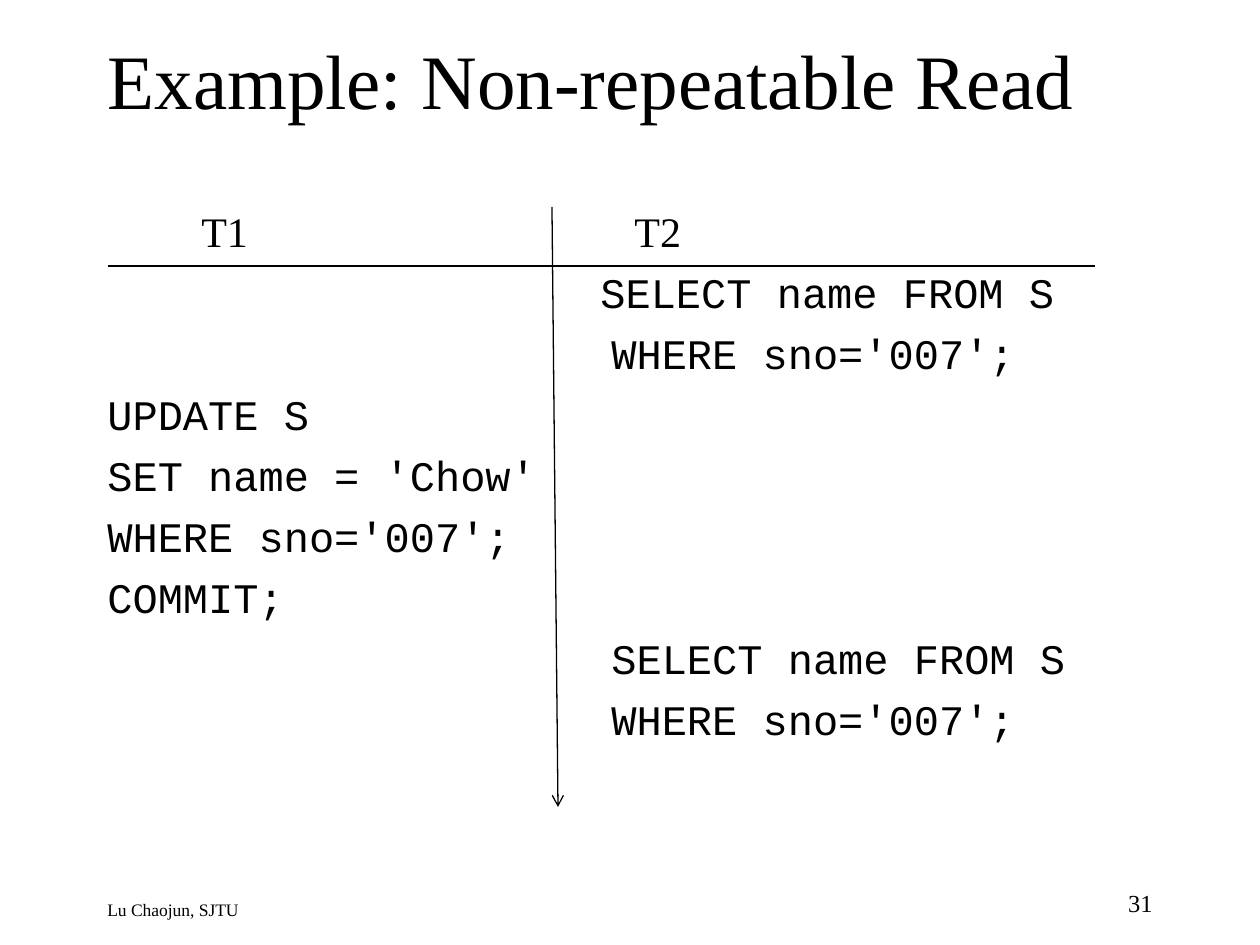
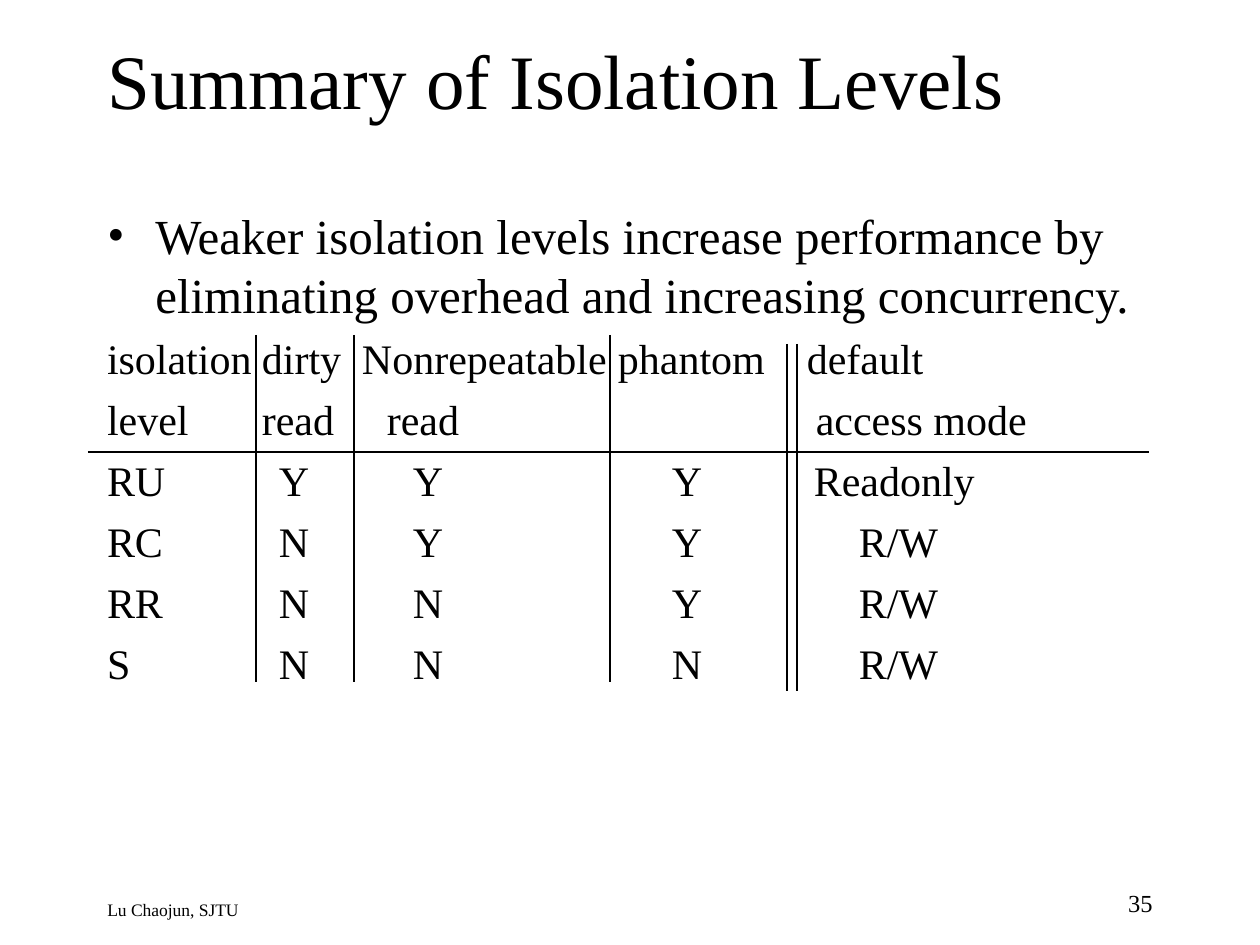
from pptx import Presentation
from pptx import util as u
from pptx.dml.color import RGBColor
from pptx.enum import shapes, text
from pptx.oxml.ns import qn
from lxml import etree

PX = 914400 / 126  # EMU in one px
BLACK = RGBColor(0x00, 0x00, 0x00)
WHITE = RGBColor(0xFF, 0xFF, 0xFF)
SERIF, MONO = "Times New Roman", "Courier New"
LINE_FACTOR = 1.2
HANGING = 48
ROW_HEIGHT = 61

TITLE_AREA = (95, 0, 1071, 158)
BODY_AREA = (95, 199, 1071, 640)
SECOND_HEAD_AREA = (622, 199, 120, 62)
FOOTER_AREA = (95, 893, 731, 32)
NUMBER_AREA = (903, 882, 262, 42)


def px(length):
    return u.Emu(round(length * PX))


def set_all(target, values):
    for name, value in values.items():
        setattr(target, name, value)


class Deck:
    """Shared style and the current slide."""

    def __init__(self):
        self.prs = Presentation()
        set_all(self.prs, {"slide_width": px(1260), "slide_height": px(945)})
        self.slide = None

    def font(self, target, size, face=SERIF):
        set_all(target.font, {"size": u.Pt(size), "name": face, "bold": False})
        target.font.color.rgb = BLACK

    def new_slide(self, title, number):
        self.slide = self.prs.slides.add_slide(self.prs.slide_layouts[5])
        fill = self.slide.background.fill
        fill.solid()
        fill.fore_color.rgb = WHITE
        self.footer("Lu Chaojun, SJTU", FOOTER_AREA, 10, text.PP_ALIGN.LEFT)
        self.footer(number, NUMBER_AREA, 14, text.PP_ALIGN.RIGHT)
        self.title(title)

    def title(self, words):
        heading = self.slide.shapes.title
        set_all(heading, dict(zip(("left", "top", "width", "height"), map(px, TITLE_AREA))))
        frame = heading.text_frame
        frame.text = words
        set_all(frame, {"vertical_anchor": text.MSO_ANCHOR.MIDDLE, "word_wrap": True,
                        "auto_size": text.MSO_AUTO_SIZE.NONE})
        frame.paragraphs[0].alignment = text.PP_ALIGN.LEFT
        self.font(frame.paragraphs[0], 44)

    def text_area(self, area):
        frame = self.slide.shapes.add_textbox(*map(px, area)).text_frame
        frame.word_wrap = True
        return frame

    def footer(self, words, area, size, align):
        line = self.text_area(area).paragraphs[0]
        line.text = words
        line.alignment = align
        self.font(line, size)

    def body(self, area=BODY_AREA):
        frame = self.text_area(area)
        frame.margin_top = px(7)
        return frame

    def line(self, frame, words, size=24, face=SERIF, left=0, bullet=None):
        """Add one paragraph; the left margin is in px."""
        first = not frame.paragraphs[0].runs
        line = frame.paragraphs[0] if first else frame.add_paragraph()
        line.text = words
        set_all(line, {"space_before": u.Pt(0 if first else 6),
                       "line_spacing": u.Pt(size * LINE_FACTOR)})
        props = line._p.get_or_add_pPr()
        props.set("marL", str(px(HANGING if bullet else left)))
        props.set("indent", str(px(-HANGING if bullet else 0)))
        if bullet:
            etree.SubElement(props, qn("a:buFont"), typeface=SERIF)
            etree.SubElement(props, qn("a:buChar"), char=bullet)
        else:
            etree.SubElement(props, qn("a:buNone"))
        self.font(line, size, face)

    def table(self, left, top, widths, rows):
        """Add a plain table; each row is its words and their left insets in px."""
        table = self.slide.shapes.add_table(
            len(rows), len(widths),
            *map(px, (left, top, sum(widths), ROW_HEIGHT * len(rows)))).table
        set_all(table, {"first_row": False, "horz_banding": False})
        for column, width in zip(table.columns, widths):
            column.width = px(width)
        for row, (words, insets) in zip(table.rows, rows):
            row.height = px(ROW_HEIGHT)
            for cell, word, inset in zip(row.cells, words, insets):
                set_all(cell, {"margin_left": px(inset), "margin_right": 0,
                               "margin_top": 0, "margin_bottom": 0,
                               "vertical_anchor": text.MSO_ANCHOR.MIDDLE})
                cell.fill.background()
                self.line(cell.text_frame, word)

    def rule(self, x1, y1, x2, y2, arrow=False):
        rule = self.slide.shapes.add_connector(
            shapes.MSO_CONNECTOR.STRAIGHT, *map(px, (x1, y1, x2, y2)))
        rule.line.color.rgb = BLACK
        rule.line.width = u.Pt(0.75)
        if arrow:
            etree.SubElement(rule.line._get_or_add_ln(), qn("a:tailEnd"), type="arrow")
        etree.SubElement(rule._element.spPr, qn("a:effectLst"))


def non_repeatable_read(deck):
    deck.new_slide("Example: Non-repeatable Read", "31")

    # Schedule of both transactions, in time order
    schedule = deck.body()
    deck.line(schedule, "T1", left=94)
    deck.line(deck.body(SECOND_HEAD_AREA), "T2")
    steps = [
        ("SELECT name FROM S", 493), ("WHERE sno='007';", 504),
        ("UPDATE S", 0), ("SET name = 'Chow'", 0), ("WHERE sno='007';", 0), ("COMMIT;", 0),
        ("SELECT name FROM S", 504), ("WHERE sno='007';", 504),
    ]
    for code, left in steps:
        deck.line(schedule, code, face=MONO, left=left)

    # Header rule and time axis
    deck.rule(108, 266, 1095, 266)
    deck.rule(552, 207, 558, 807, arrow=True)


def isolation_summary(deck):
    deck.new_slide("Summary of Isolation Levels", "35")

    deck.line(deck.body(), "Weaker isolation levels increase performance by "
              "eliminating overhead and increasing concurrency.", size=28, bullet="•")

    # Column headings, then the anomalies allowed at each level
    read_write = (0, 23, 59, 62, 67)
    rows = [
        (("isolation", "dirty", "Nonrepeatable", "phantom", "default"), (0, 6, 8, 8, 15)),
        (("level", "read", "read", "", "access mode"), (0, 6, 33, 8, 24)),
        (("RU", "Y", "Y", "Y", "Readonly"), (0, 23, 59, 62, 22)),
        (("RC", "N", "Y", "Y", "R/W"), read_write),
        (("RR", "N", "N", "Y", "R/W"), read_write),
        (("S", "N", "N", "N", "R/W"), read_write),
    ]
    deck.table(107, 328, (149, 98, 256, 182, 357), rows)

    # Heading rule, column rules and the double rule
    deck.rule(88, 452, 1149, 452)
    for top, columns in ((335, (256, 354, 610)), (344, (787, 797))):
        for x in columns:
            deck.rule(x, top, x, top + 347)


def main():
    deck = Deck()
    non_repeatable_read(deck)
    isolation_summary(deck)
    deck.prs.save("out.pptx")


if __name__ == "__main__":
    main()
